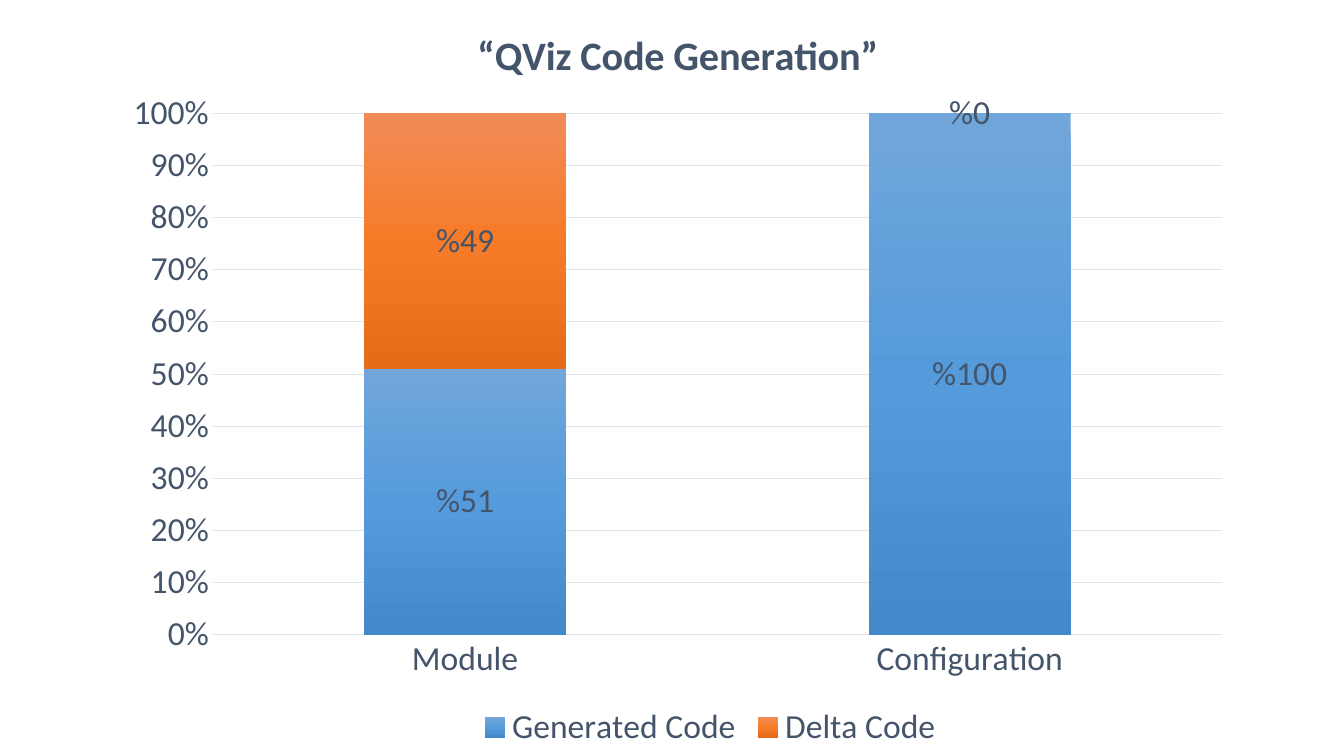
from copy import deepcopy

from lxml import etree
from pptx import Presentation
from pptx import util as u
from pptx.chart.data import CategoryChartData
from pptx.dml.color import RGBColor
from pptx.enum import chart as c
from pptx.oxml.ns import qn

SLATE = RGBColor(0x44, 0x54, 0x6A)
GRID = RGBColor(0xE0, 0xE5, 0xEB)
BLUES = [RGBColor(0x71, 0xA6, 0xDB), RGBColor(0x55, 0x9B, 0xDB), RGBColor(0x44, 0x8A, 0xCA)]
ORANGES = [RGBColor(0xF1, 0x8C, 0x57), RGBColor(0xF6, 0x7B, 0x28), RGBColor(0xE5, 0x6C, 0x19)]

CATEGORIES = ["Module", "Configuration"]
SERIES = [("Generated Code", [0.51, 1], BLUES), ("Delta Code", [0.49, 0], ORANGES)]


def write_text(frame, content, **font_format):
    """Put one run into a text frame and format its font."""
    run = frame.paragraphs[0].add_run()
    run.text = content
    format_font(run.font, **font_format)


def format_font(font, size=24, bold=False, color=SLATE, name="Calibri"):
    font.size, font.bold, font.name = u.Pt(size), bold, name
    font.color.rgb = color


def place(element, before, **fractions):
    """Fix a chart part at fractions of the chart's size."""
    for old in element.findall(qn("c:layout")):
        element.remove(old)
    layout = etree.Element(qn("c:layout"))
    manual = etree.SubElement(layout, qn("c:manualLayout"))
    if "w" in fractions:
        etree.SubElement(manual, qn("c:layoutTarget")).set("val", "inner")
    for mode in ("xMode", "yMode"):
        etree.SubElement(manual, qn(f"c:{mode}")).set("val", "edge")
    for key, value in fractions.items():
        etree.SubElement(manual, qn(f"c:{key}")).set("val", str(value))
    element.find(qn(before)).addprevious(layout)


class ChartSlide:
    def __init__(self, presentation):
        self.slide = presentation.slides.add_slide(presentation.slide_layouts[6])

    def add_stacked_chart(self, left, top, width, height):
        data = CategoryChartData(number_format="%0")
        data.categories = CATEGORIES
        for name, values, _ in SERIES:
            data.add_series(name, values)
        frame = self.slide.shapes.add_chart(
            c.XL_CHART_TYPE.COLUMN_STACKED_100, left, top, width, height, data)
        self.chart = frame.chart
        format_font(self.chart.font)
        plot = self.chart.plots[0]
        plot.gap_width, plot.overlap, plot.vary_by_categories = 150, 100, False
        place(self.chart.plots[0]._element.getparent(), "c:barChart",
              x=0.09, y=0.15, w=0.89, h=0.69)

    def add_title(self, content):
        title = self.chart.chart_title
        write_text(title.text_frame, content, size=28.8, bold=True)
        title.include_in_layout = False

    def style_series(self, series, colors):
        fill = series.format.fill
        fill.gradient()
        fill.gradient_angle = 270
        stops = series._element.find(".//" + qn("a:gsLst"))
        stops.append(deepcopy(stops[-1]))
        for stop, color, position in zip(fill.gradient_stops, colors, (0, 0.5, 1)):
            stop.color.rgb, stop.position = color, position
        labels = series.data_labels
        labels.show_value = True
        labels.position = c.XL_LABEL_POSITION.CENTER
        labels.number_format, labels.number_format_is_linked = "%0", False
        format_font(labels.font)

    def style_axes(self):
        category, value = self.chart.category_axis, self.chart.value_axis
        for axis in (category, value):
            axis.major_tick_mark = axis.minor_tick_mark = c.XL_TICK_MARK.NONE
            format_font(axis.tick_labels.font)
        value.minimum_scale, value.maximum_scale, value.major_unit = 0, 1, 0.1
        value.tick_labels.number_format = "0%"
        value.tick_labels.number_format_is_linked = False
        value.format.line.fill.background()
        for line in (category.format.line, value.major_gridlines.format.line):
            line.width = u.Pt(0.75)
            line.color.rgb = GRID

    def add_legend(self):
        self.chart.has_legend = True
        legend = self.chart.legend
        legend.position = c.XL_LEGEND_POSITION.BOTTOM
        legend.include_in_layout = False
        format_font(legend.font)
        place(legend._element, "c:overlay", x=0.32, y=0.93)


def main():
    presentation = Presentation()
    presentation.slide_width, presentation.slide_height = u.Cm(33.87), u.Cm(19.05)
    page = ChartSlide(presentation)

    # Chart with title
    page.add_stacked_chart(u.Cm(2.79), u.Cm(0), u.Cm(28.58), u.Cm(19.05))
    page.add_title("“QViz Code Generation”")

    # Columns, axes and legend
    for series, (_, _, colors) in zip(page.chart.plots[0].series, SERIES):
        page.style_series(series, colors)
    page.style_axes()
    page.add_legend()

    presentation.save("out.pptx")


if __name__ == "__main__":
    main()
